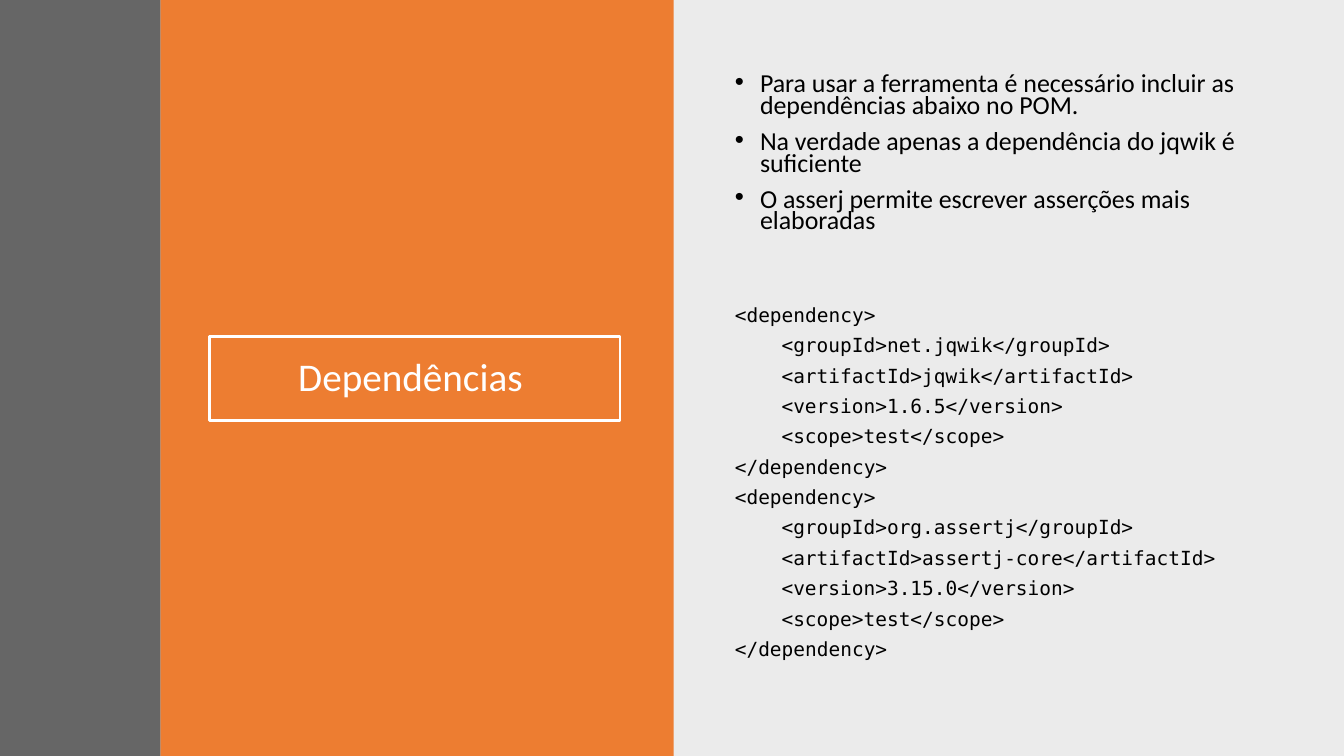
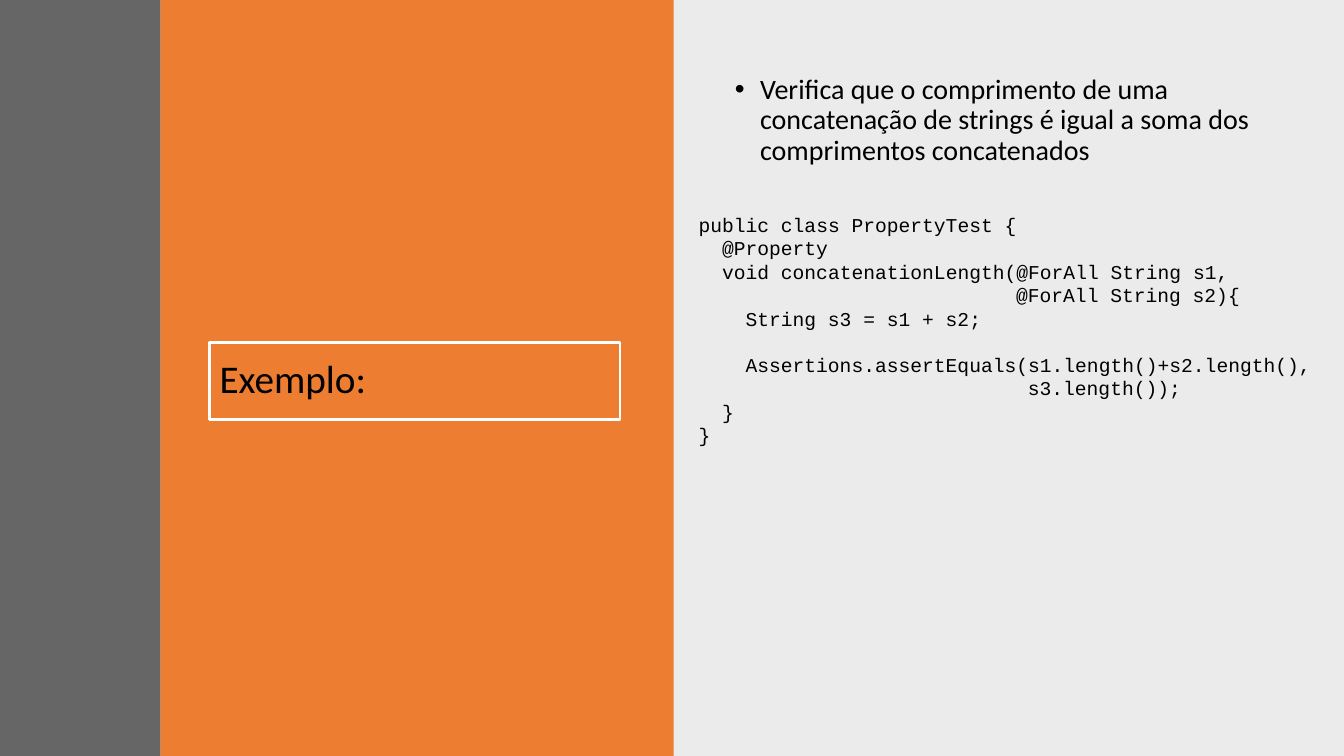
from dataclasses import dataclass

from lxml.etree import SubElement
from pptx import Presentation
from pptx.dml.color import RGBColor
from pptx.enum.shapes import MSO_SHAPE
from pptx.enum.text import MSO_ANCHOR, PP_ALIGN
from pptx.oxml.ns import qn
from pptx.slide import Slide
from pptx.text.text import _Paragraph as Paragraph
from pptx.util import Inches, Pt

BLACK = RGBColor(0x00, 0x00, 0x00)
WHITE = RGBColor(0xFF, 0xFF, 0xFF)
ORANGE = RGBColor(0xED, 0x7D, 0x31)
CHARCOAL = RGBColor(0x40, 0x40, 0x40)

SLIDE_WIDTH, SLIDE_HEIGHT = 13.33, 7.5
BODY_FONT = "Calibri"
TITLE_SIZE = 28
BULLET_INDENT = 0.25
MONOSPACE_RATIO = 0.6  # character width relative to font size


@dataclass(frozen=True)
class Area:
    left: float
    top: float
    width: float
    height: float

    def lengths(self) -> tuple[Inches, ...]:
        return tuple(Inches(n) for n in (self.left, self.top, self.width, self.height))


@dataclass(frozen=True)
class Band:
    area: Area
    color: RGBColor
    opacity: int = 100


@dataclass(frozen=True)
class TextStyle:
    font: str
    size: float
    color: RGBColor = BLACK
    line_spacing: float = 1.0
    space_before: float = 0
    align: PP_ALIGN = PP_ALIGN.LEFT


@dataclass(frozen=True)
class CodeLine:
    text: str
    indent: int = 0  # in characters
    gap: float = 0  # extra points above the line


RIGHT_PANEL = Band(Area(6.67, 0, 6.67, SLIDE_HEIGHT), BLACK, 8)
TITLE_PANEL = Band(Area(1.59, 0, 5.09, SLIDE_HEIGHT), ORANGE)
LEFT_STRIPE = Band(Area(0, 0, 1.59, SLIDE_HEIGHT), CHARCOAL, 80)


def add_band(page: Slide, band: Band) -> None:
    shape = page.shapes.add_shape(MSO_SHAPE.RECTANGLE, *band.area.lengths())
    shape.shadow.inherit = False
    shape.line.fill.background()
    shape.fill.solid()
    shape.fill.fore_color.rgb = band.color
    if band.opacity < 100:
        color = shape.fill._xPr.find(f".//{qn('a:srgbClr')}")
        SubElement(color, qn("a:alpha"), val=str(band.opacity * 1000))


def add_text_box(page: Slide, area: Area):
    box = page.shapes.add_textbox(*area.lengths())
    box.text_frame.word_wrap = True
    return box


def write(para: Paragraph, text: str, style: TextStyle, gap: float = 0) -> None:
    para.alignment = style.align
    para.line_spacing = style.line_spacing
    para.space_before = Pt(style.space_before + gap)
    span = para.add_run()
    span.text = text
    span.font.name = style.font
    span.font.size = Pt(style.size)
    span.font.color.rgb = style.color


def add_paragraphs(box, count: int) -> list[Paragraph]:
    frame = box.text_frame
    return [frame.paragraphs[0]] + [frame.add_paragraph() for _ in range(count - 1)]


def add_title(page: Slide, area: Area, text: str, style: TextStyle) -> None:
    box = add_text_box(page, area)
    box.line.color.rgb = WHITE
    box.line.width = Pt(2)
    box.text_frame.vertical_anchor = MSO_ANCHOR.MIDDLE
    write(box.text_frame.paragraphs[0], text, style)


def add_bullets(page: Slide, area: Area, items: list[str], style: TextStyle) -> None:
    box = add_text_box(page, area)
    for para, item in zip(add_paragraphs(box, len(items)), items):
        write(para, item, style)
        properties = para._p.get_or_add_pPr()
        properties.set("marL", str(Inches(BULLET_INDENT)))
        properties.set("indent", str(-Inches(BULLET_INDENT)))
        SubElement(properties, qn("a:buFont"), typeface="Arial")
        SubElement(properties, qn("a:buChar"), char="•")


def add_code(page: Slide, area: Area, lines: list[CodeLine], style: TextStyle) -> None:
    box = add_text_box(page, area)
    for para, line in zip(add_paragraphs(box, len(lines)), lines):
        write(para, line.text, style, line.gap)
        margin = Pt(line.indent * style.size * MONOSPACE_RATIO)
        para._p.get_or_add_pPr().set("marL", str(margin))


def add_page(deck, title: str, title_area: Area, title_style: TextStyle) -> Slide:
    """Add a slide with the shared bands and a framed title."""
    page = deck.slides.add_slide(deck.slide_layouts[6])
    add_band(page, RIGHT_PANEL)
    add_band(page, TITLE_PANEL)
    add_title(page, title_area, title, title_style)
    add_band(page, LEFT_STRIPE)
    return page


def dependency(group: str, artifact: str, version: str) -> list[CodeLine]:
    fields = {"groupId": group, "artifactId": artifact, "version": version, "scope": "test"}
    return [
        CodeLine("<dependency>"),
        *(CodeLine(f"<{tag}>{value}</{tag}>", 4) for tag, value in fields.items()),
        CodeLine("</dependency>"),
    ]


def add_dependencies_page(deck) -> None:
    title_style = TextStyle(BODY_FONT, TITLE_SIZE, WHITE, 0.9, align=PP_ALIGN.CENTER)
    page = add_page(deck, "Dependências ", Area(2.08, 3.34, 4.07, 0.83), title_style)
    bullets = [
        "Para usar a ferramenta é necessário incluir as dependências abaixo no POM.",
        "Na verdade apenas a dependência do jqwik é suficiente",
        "O asserj permite escrever asserções mais elaboradas",
    ]
    add_bullets(page, Area(7.19, 0.7, 5.53, 2.79), bullets,
                TextStyle(BODY_FONT, 18.5, line_spacing=0.7, space_before=10))
    code = (dependency("net.jqwik", "jqwik", "1.6.5")
            + dependency("org.assertj", "assertj-core", "3.15.0"))
    add_code(page, Area(7.19, 3.02, 5.53, 3.78), code,
             TextStyle("DejaVu Sans Mono", 13.9, line_spacing=0.7, space_before=10))


def add_example_page(deck) -> None:
    title_style = TextStyle(BODY_FONT, TITLE_SIZE, line_spacing=0.9)
    page = add_page(deck, "Exemplo:", Area(2.08, 3.4, 4.07, 0.76), title_style)
    bullets = [
        "Verifica que o comprimento de uma concatenação de strings "
        "é igual a soma dos comprimentos concatenados",
    ]
    add_bullets(page, Area(7.19, 0.7, 5.53, 1.22), bullets,
                TextStyle(BODY_FONT, 20, line_spacing=0.9, space_before=10))
    code = [
        CodeLine("public class PropertyTest {"),
        CodeLine("@Property", 2),
        CodeLine("void concatenationLength(@ForAll String s1,", 2),
        CodeLine("@ForAll String s2){", 27),
        CodeLine("String s3 = s1 + s2;", 4),
        CodeLine("Assertions.assertEquals(s1.length()+s2.length(),", 4, gap=15.9),
        CodeLine("s3.length());", 28),
        CodeLine("}", 2),
        CodeLine("}"),
    ]
    add_code(page, Area(6.83, 2.06, 6.5, 4.74), code, TextStyle("Courier New", 14))


def main() -> None:
    deck = Presentation()
    deck.slide_width = Inches(SLIDE_WIDTH)
    deck.slide_height = Inches(SLIDE_HEIGHT)
    add_dependencies_page(deck)
    add_example_page(deck)
    deck.save("out.pptx")


if __name__ == "__main__":
    main()
